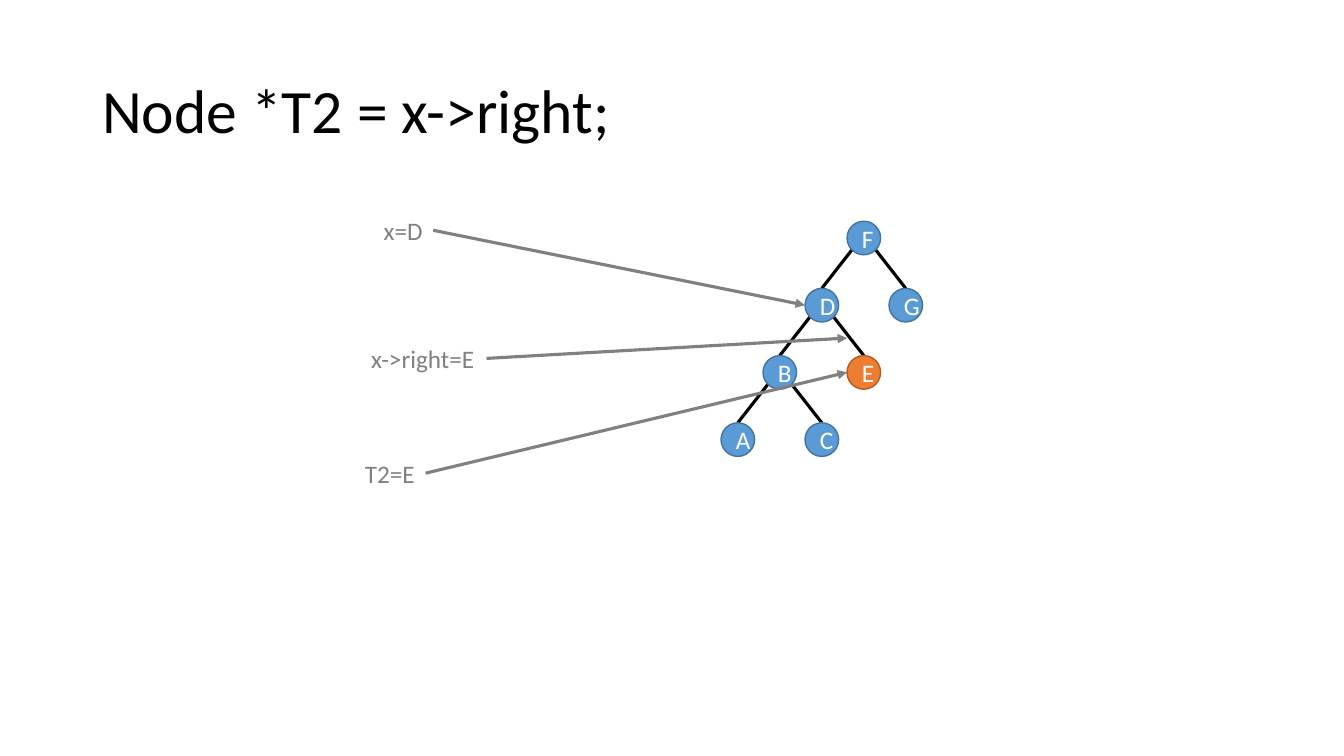
from dataclasses import dataclass
from math import sqrt

from lxml.etree import SubElement
from pptx import Presentation
from pptx.dml.color import RGBColor
from pptx.enum.shapes import MSO_CONNECTOR as Connector, MSO_SHAPE as Shape
from pptx.enum.text import MSO_ANCHOR as Anchor, MSO_AUTO_SIZE as AutoSize, PP_ALIGN as Align
from pptx.oxml.ns import qn
from pptx.slide import Slide
from pptx.text.text import TextFrame
from pptx.util import Pt

COLORS = {
    "black": "000000",
    "white": "FFFFFF",
    "gray": "808080",
    "blue": "5B9BD5",
    "blue_outline": "43739E",
    "orange": "ED7D31",
    "orange_outline": "AF5C24",
}
DIAMETER = 24
RADIUS = DIAMETER / 2
TREE_LEFT, TREE_TOP = 515, 158
COLUMN_STEP, ROW_STEP = 30, 48
LABEL_HEIGHT = 29


@dataclass(frozen=True)
class Node:
    """A tree node placed on the column and row grid."""

    name: str
    column: int
    row: int
    parent: str = ""
    color: str = "blue"

    @property
    def center(self) -> tuple[float, float]:
        """Return the centre of the node in points."""
        return (
            TREE_LEFT + self.column * COLUMN_STEP + RADIUS,
            TREE_TOP + self.row * ROW_STEP + RADIUS,
        )


@dataclass(frozen=True)
class Label:
    """A note whose arrow points into the tree."""

    text: str
    left: float
    top: float
    width: float
    target: tuple[float, float]


NODES = [
    Node("F", 3, 0),
    Node("D", 2, 1, "F"),
    Node("G", 4, 1, "F"),
    Node("B", 1, 2, "D"),
    Node("E", 3, 2, "D", "orange"),
    Node("A", 0, 3, "B"),
    Node("C", 2, 3, "B"),
]
LABELS = [
    Label("x=D", 267, 150, 42.5, (575, 218)),
    Label("x->right=E", 258, 241.5, 89.5, (605, 241.5)),
    Label("T2=E", 253.5, 323.5, 50.5, (605, 266)),
]


def rgb(name: str) -> RGBColor:
    """Return the named colour."""
    return RGBColor.from_string(COLORS[name])


def write_text(frame: TextFrame, text: str, size: float, color: str) -> None:
    """Put one styled paragraph into a text frame."""
    paragraph = frame.paragraphs[0]
    paragraph.text = text
    paragraph.font.name = "Calibri"
    paragraph.font.size = Pt(size)
    paragraph.font.color.rgb = rgb(color)


def draw_line(
    slide: Slide,
    start: tuple[float, float],
    end: tuple[float, float],
    color: str,
    arrow: bool = False,
) -> None:
    """Draw a straight line, with an arrowhead at its end if asked."""
    points = [Pt(value) for value in (*start, *end)]
    connector = slide.shapes.add_connector(Connector.STRAIGHT, *points)
    connector.line.color.rgb = rgb(color)
    connector.line.width = Pt(2.25)
    properties = connector.element.spPr
    if arrow:
        SubElement(properties.find(qn("a:ln")), qn("a:tailEnd"), type="triangle")
    SubElement(properties, qn("a:effectLst"))


def draw_title(slide: Slide, text: str) -> None:
    """Draw the slide title."""
    box = slide.shapes.add_textbox(Pt(66), Pt(28.8), Pt(828), Pt(104.4))
    frame = box.text_frame
    frame.word_wrap = True
    frame.vertical_anchor = Anchor.MIDDLE
    write_text(frame, text, 44, "black")
    frame.paragraphs[0].line_spacing = 0.9


def draw_edge(slide: Slide, parent: Node, child: Node) -> None:
    """Join the lower diagonal of a parent to the top of its child."""
    parent_x, parent_y = parent.center
    child_x, child_y = child.center
    diagonal = RADIUS / sqrt(2)
    side = 1 if child_x > parent_x else -1
    start = (parent_x + side * diagonal, parent_y + diagonal)
    draw_line(slide, start, (child_x, child_y - RADIUS), "black")


def draw_node(slide: Slide, node: Node) -> None:
    """Draw a node as a circle holding its letter."""
    x, y = node.center
    circle = slide.shapes.add_shape(
        Shape.OVAL, Pt(x - RADIUS), Pt(y - RADIUS), Pt(DIAMETER), Pt(DIAMETER)
    )
    circle.shadow.inherit = False
    circle.fill.solid()
    circle.fill.fore_color.rgb = rgb(node.color)
    circle.line.color.rgb = rgb(f"{node.color}_outline")
    circle.line.width = Pt(1)
    circle.text_frame.vertical_anchor = Anchor.MIDDLE
    write_text(circle.text_frame, node.name, 18, "white")
    circle.text_frame.paragraphs[0].alignment = Align.CENTER


def draw_label(slide: Slide, label: Label) -> None:
    """Draw a note and the arrow from its right edge."""
    box = slide.shapes.add_textbox(
        Pt(label.left), Pt(label.top), Pt(label.width), Pt(LABEL_HEIGHT)
    )
    box.text_frame.word_wrap = False
    box.text_frame.auto_size = AutoSize.SHAPE_TO_FIT_TEXT
    write_text(box.text_frame, label.text, 18, "gray")
    start = (label.left + label.width, label.top + LABEL_HEIGHT / 2)
    draw_line(slide, start, label.target, "gray", arrow=True)


def main() -> None:
    """Build and save the slide."""
    presentation = Presentation()
    presentation.slide_width, presentation.slide_height = Pt(960), Pt(540)
    slide = presentation.slides.add_slide(presentation.slide_layouts[6])
    draw_title(slide, "Node *T2 = x->right;")
    nodes_by_name = {node.name: node for node in NODES}
    for node in NODES:
        if node.parent:
            draw_edge(slide, nodes_by_name[node.parent], node)
    for node in NODES:
        draw_node(slide, node)
    for label in LABELS:
        draw_label(slide, label)
    presentation.save("out.pptx")


if __name__ == "__main__":
    main()
